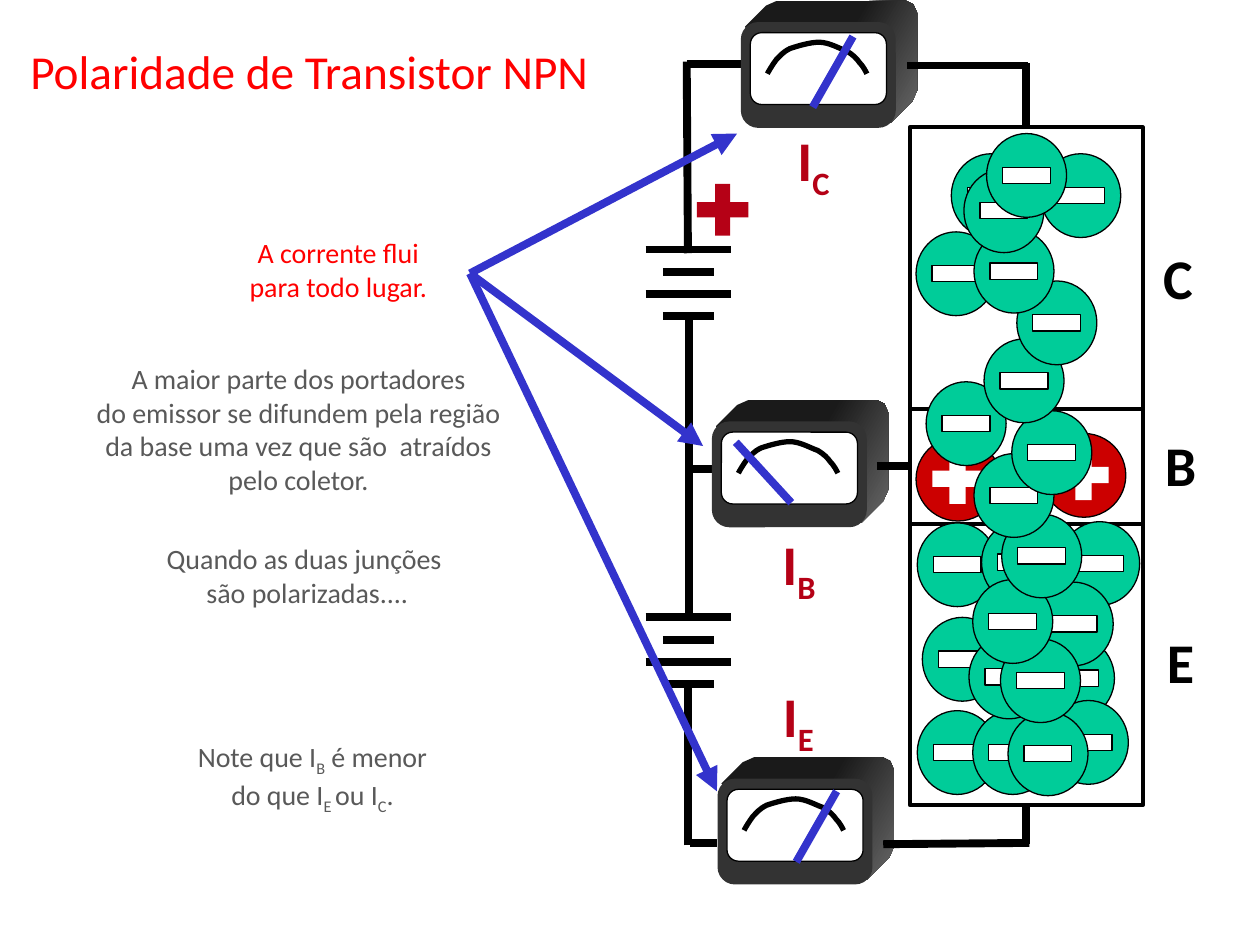
from collections import namedtuple

from lxml.etree import SubElement
from pptx import Presentation
from pptx.dml.color import RGBColor
from pptx.enum.shapes import MSO_CONNECTOR, MSO_SHAPE
from pptx.enum.text import MSO_ANCHOR, MSO_AUTO_SIZE, PP_ALIGN
from pptx.oxml.ns import qn
from pptx.util import Inches, Pt

# Grid of 100 columns by 75 rows; every length below is in cells
CELL = Inches(0.1)
COLORS = {
    "black": "000000", "white": "FFFFFF", "red": "FF0000", "gray": "595959",
    "label": "B50116", "arrow": "3333CC", "electron": "00CC99", "hole": "CC0000",
    "case_front": "333333", "case_dark": "1A1A1A", "case_light": "666666",
}
FONT = "Calibri"
Box = namedtuple("Box", "left top width height")

# Dial arc as cubic curve knots, offset from the meter's corner
DIAL = [(2.1, 4.1), (2.2, 3.9), (2.5, 3.4), (2.8, 3), (3.1, 2.7), (3.3, 2.4), (3.9, 2.1),
        (4.5, 1.9), (5.5, 1.6), (6.2, 1.6), (7, 1.6), (7.8, 2.1), (8.4, 2.3),
        (8.9, 2.6), (9.2, 2.9), (9.4, 3.2), (9.7, 3.5), (9.9, 3.9), (10, 4.1)]


def color(name):
    return RGBColor.from_string(COLORS[name])


def cells(*values):
    return [round(value * CELL) for value in values]


def paint(shape, fill=None, line=None, weight=0.75):
    shape.shadow.inherit = False
    if fill:
        shape.fill.solid()
        shape.fill.fore_color.rgb = color(fill)
    else:
        shape.fill.background()
    if line:
        shape.line.color.rgb = color(line)
        shape.line.width = Pt(weight)
    else:
        shape.line.fill.background()
    return shape


def add_preset(shapes, kind, box, fill=None, line=None, weight=0.75):
    return paint(shapes.add_shape(kind, *cells(*box)), fill, line, weight)


def add_outline(page, points, closed, **style):
    corners = [cells(*point) for point in points]
    builder = page.shapes.build_freeform(*corners[0], scale=1.0)
    builder.add_line_segments(corners[1:], close=closed)
    return paint(builder.convert_to_shape(), **style)


def bend(shape):
    """Turn every three straight segments into one cubic curve."""
    segments = list(shape._element.iter(qn("a:lnTo")))
    for first in range(0, len(segments), 3):
        curve = segments[first]
        curve.tag = qn("a:cubicBezTo")
        for segment in segments[first + 1:first + 3]:
            curve.append(segment[0])
            segment.getparent().remove(segment)


def add_line(page, start, end, name="black", arrow=False):
    line = page.shapes.add_connector(MSO_CONNECTOR.STRAIGHT, *cells(*start, *end))
    line.line.color.rgb = color(name)
    line.line.width = Pt(4.5)
    properties = line.line._get_or_add_ln()
    if arrow:
        SubElement(properties, qn("a:tailEnd"), type="triangle")
    SubElement(properties.getparent(), qn("a:effectLst"))
    return line


def write(frame, lines, size, name, bold=False, align=PP_ALIGN.CENTER):
    """Each line is a list of spans; a span starting with _ is a subscript."""
    frame.auto_size = MSO_AUTO_SIZE.NONE
    for index, spans in enumerate(lines):
        para = frame.paragraphs[0] if index == 0 else frame.add_paragraph()
        para.alignment = align
        for text in spans:
            span = para.add_run()
            span.text = text.removeprefix("_")
            span.font.name, span.font.size = FONT, Pt(size)
            span.font.bold, span.font.color.rgb = bold, color(name)
            if text.startswith("_"):
                span._r.get_or_add_rPr().set("baseline", "-25000")


def add_text(page, box, lines, size, name, bold=False):
    frame = page.shapes.add_textbox(*cells(*box)).text_frame
    frame.word_wrap = False
    write(frame, lines, size, name, bold)


def add_title(page, box):
    title = page.shapes.title
    title.left, title.top, title.width, title.height = cells(*box)
    title.text_frame.word_wrap = False
    title.text_frame.vertical_anchor = MSO_ANCHOR.MIDDLE
    write(title.text_frame, [["Polaridade de Transistor NPN"]], 27, "red", align=PP_ALIGN.LEFT)


def add_regions(page, box):
    """Collector, base and emitter, stacked from the top."""
    regions, top = [], box.top
    for share in (0.415, 0.17, 0.415):
        height = share * box.height
        regions.append(add_preset(page.shapes, MSO_SHAPE.RECTANGLE,
                                  (box.left, top, box.width, height), None, "black", 2.25))
        top += height
    return regions


def add_cross(shapes, center, length, thickness, name):
    for width, height in ((length, thickness), (thickness, length)):
        add_preset(shapes, MSO_SHAPE.RECTANGLE,
                   (center[0] - width / 2, center[1] - height / 2, width, height), name)


def add_electrons(page, corners):
    for left, top in corners:
        parts = page.shapes.add_group_shape().shapes
        add_preset(parts, MSO_SHAPE.OVAL, (left, top, 6.35, 6.65), "electron", "black")
        add_preset(parts, MSO_SHAPE.RECTANGLE, (left + 1.27, top + 2.67, 3.8, 1.3), "white", "black")


def add_holes(page, corners):
    for left, top in corners:
        parts = page.shapes.add_group_shape().shapes
        add_preset(parts, MSO_SHAPE.OVAL, (left, top, 6.65, 6.65), "hole", "black")
        add_cross(parts, (left + 3.3, top + 3.3), 4, 1.3, "white")


def add_battery(page, box):
    for row in range(4):
        inset = box.width * 0.2 * (row % 2)
        height = box.top + box.height * row / 3
        add_line(page, (box.left + inset, height), (box.left + box.width - inset, height))


def add_meter(page, box):
    left, top, w, h = box

    def placed(points):
        return [(left + x, top + y) for x, y in points]

    # Case: depth behind a rounded front
    depth = [(0.3, 0.4), (2, -1.3), (2.9, -1.7), (w + 0.8, -1.7), (w + 1.4, -1.4),
             (w + 1.7, -0.7), (w + 1.7, h - 3), (w + 1.3, h - 2.1), (w - 0.4, h - 0.4)]
    body = add_outline(page, placed(depth), True, fill="case_dark")
    body.fill.gradient()
    body.fill.gradient_angle = 330
    for stop, name, position in zip(body.fill.gradient_stops, ("case_dark", "case_light"), (0.5, 1)):
        stop.color.rgb, stop.position = color(name), position
    front = add_preset(page.shapes, MSO_SHAPE.ROUNDED_RECTANGLE, box, "case_front")
    front.adjustments[0] = 0.165
    # Dial
    face = add_preset(page.shapes, MSO_SHAPE.ROUNDED_RECTANGLE,
                      (left + 0.75, top + 0.85, 10.8, 5.7), "white", "black")
    face.adjustments[0] = 0.158
    bend(add_outline(page, placed(DIAL), False, line="black", weight=3))


def add_circuit(page, regions):
    collector, base, emitter = regions
    for top in (19.8, 49):
        add_battery(page, Box(51.25, top, 6.8, 5.3))
    wires = [((54.7, 48.8), (54.7, 33.4)), ((54.6, 67.1), (54.6, 54.6)),
             ((54.6, 20.1), (54.5, 4.9)), ((54.7, 37.8), (54.7, 25.3)),
             ((54.5, 5.1), (58.9, 5.1)), ((56.6, 37.2), (54.4, 37.2)),
             ((54.8, 66.9), (56.9, 66.9))]
    for start, end in wires:
        add_line(page, start, end)
    for left, top in ((56.95, 61.8), (58.8, 1.75), (56.5, 33.45)):
        add_meter(page, Box(left, top, 12.3, 8.4))
    # Wires from the meters to the transistor
    add_line(page, (81.7, 66.9), (70.1, 67))
    add_line(page, (81.6, 5.2), (72, 5.2))
    add_line(page, (81.45, 5), (81.45, 10.1)).end_connect(collector, 0)
    add_line(page, (69.6, 37), (72.2, 37)).end_connect(base, 1)
    add_line(page, (81.45, 67), (81.45, 63.9)).end_connect(emitter, 2)
    add_cross(page.shapes.add_group_shape().shapes, (57.35, 16.65), 4.1, 1.2, "label")


def add_currents(page, origin):
    for end in ((58.5, 10.6), (55.8, 35.4), (56.9, 62.8)):
        add_line(page, origin, end, "arrow", arrow=True)
    needles = [((66.4, 62.8), (63.2, 68.4)), ((67.7, 2.9), (64.5, 8.5)), ((58.4, 35.1), (62.8, 39.9))]
    for start, end in needles:
        add_line(page, start, end, "arrow")


def add_notes_column(page):
    add_text(page, (18.7, 18.2, 16.3, 6.4), [["A corrente flui"], ["para todo lugar."]], 16, "red")
    add_text(page, (-0.95, 28.2, 49.3, 11.8),
             [["A maior parte dos portadores"], ["do emissor se difundem pela região"],
              ["da base uma vez que são  atraídos"], ["pelo coletor."]], 16, "gray")
    add_text(page, (12.1, 42.5, 24.6, 6.4),
             [["Quando as duas junções "], ["são polarizadas...."]], 16, "gray")
    add_text(page, (14.5, 58.2, 20.6, 6.4),
             [["Note que I", "_B", " é menor"], ["do que I", "_E ", "ou I", "_C", "."]], 16, "gray")


def add_labels(page):
    for letter, left, top in (("C", 91.3, 18.8), ("B", 91.5, 33.7), ("E", 91.5, 49.3)):
        add_text(page, (left, top, 4.4, 6.4), [[letter]], 32, "black", True)
    for letter, left, top in (("C", 62.15, 9.5), ("B", 61, 41.5), ("E", 60.95, 53.6)):
        add_text(page, (left, top, 4.8, 6.4), [["I", "_" + letter]], 32, "label", True)


def main():
    deck = Presentation()
    deck.slide_width, deck.slide_height = 100 * CELL, 75 * CELL
    page = deck.slides.add_slide(deck.slide_layouts[5])
    add_title(page, Box(1.4, 2.8, 48.7, 5.6))
    regions = add_regions(page, Box(72.2, 10.1, 18.5, 53.8))
    # Carriers at rest, behind the circuit
    add_electrons(page, [(75.5, 12.2), (82.6, 12.2), (72.7, 18.4)])
    add_holes(page, [(82.7, 34.4), (72.7, 34.7)])
    add_electrons(page, [(72.8, 41.5), (78.4, 55.6), (72.8, 56.4), (82.1, 50.5), (73.2, 49),
                         (77.9, 41.3), (83.2, 55.6), (77.2, 56.4), (84.1, 41.4), (80, 56.5),
                         (82, 46.2), (76.9, 50.4)])
    add_circuit(page, regions)
    add_currents(page, (37.3, 21.7))
    # Carriers flowing from emitter to collector
    add_electrons(page, [(79.4, 50.7), (73.5, 30.3), (77.2, 46), (79.5, 40.8), (77.3, 36),
                         (80.3, 32.6), (78.1, 26.9), (80.7, 22.3), (77.3, 18.2),
                         (76.5, 13.4), (78.3, 10.6)])
    add_notes_column(page)
    add_labels(page)
    deck.save("out.pptx")


if __name__ == "__main__":
    main()
